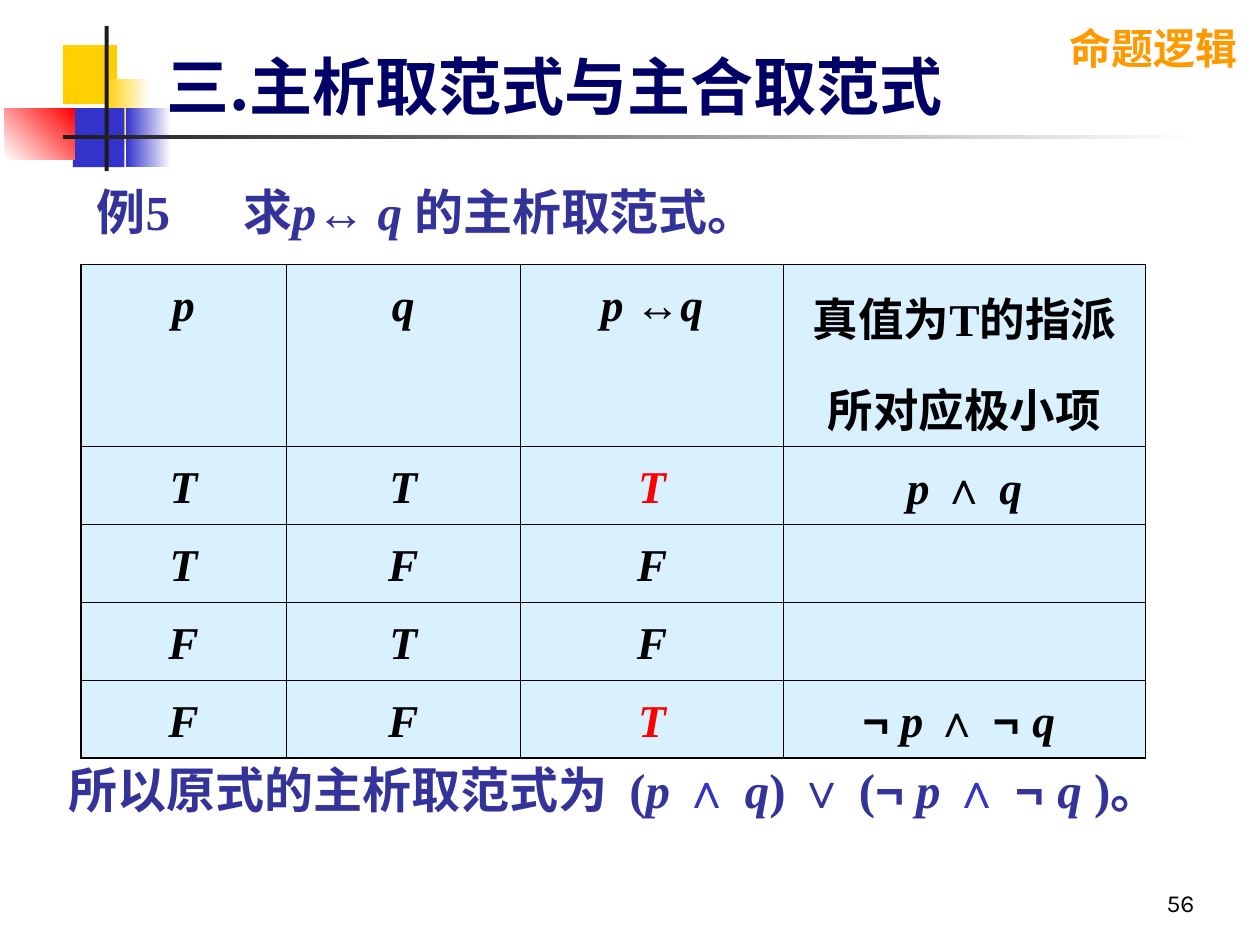
from lxml.etree import SubElement
from pptx import Presentation
from pptx.dml.color import RGBColor
from pptx.enum.shapes import MSO_SHAPE
from pptx.enum.text import MSO_ANCHOR, PP_ALIGN
from pptx.oxml import parse_xml
from pptx.oxml.ns import nsdecls, qn
from pptx.util import Cm, Pt

C = {
    "yellow": "FFCF01", "blue": "3333CC", "red": "FF0000", "ink": "1C1C1C",
    "white": "FFFFFF", "black": "000000", "orange": "FF9900",
    "navy": "000066", "indigo": "333399", "cell": "D9F1FF",
}
SERIF, SANS, CJK, LABEL = "Times New Roman", "Arial", "Noto Sans CJK SC", "Karla"

DECOR = [
    ((1.27, 0.91, 1.09, 1.19), ["yellow"], 0),
    ((2.11, 1.6, 0.91, 1.32), ["yellow", "white"], 0),
    ((1.47, 2.18, 1.04, 1.19), ["blue"], 0),
    ((2.54, 2.18, 0.91, 1.19), ["blue", "white"], 0),
    ((0.1, 2.18, 1.4, 1.04), ["white", "red"], 45),
    ((2.11, 0.53, 0.08, 2.92), ["ink"], 0),
    ((1.27, 2.72, 22.86, 0.08), ["ink", "white"], 0),
]

IT = {"italic": True}
SYM = {"name": SANS}
AND = ("∧ ", {"name": SANS, "color": "blue"})

TEXTS = [
    ((21.31, 0.33, 3.89, 1.27), {"word_wrap": False}, {},
     {"size": Pt(24), "name": LABEL, "color": "orange", "bold": True},
     [("命题逻辑", {})]),
    ((3.1, 0.53, 21.01, 2.08), {"vertical_anchor": MSO_ANCHOR.BOTTOM}, {},
     {"size": Pt(36), "name": CJK, "color": "navy", "bold": True},
     [("三.主析取范式与主合取范式", {})]),
    ((0.69, 14.94, 23.01, 2.01), {}, {"line_spacing": 1.2, "space_before": Pt(7), "indent": 0.45},
     {"size": Pt(28), "name": SERIF, "color": "indigo", "bold": True},
     [("所以原式的主析取范式为  (", {}), ("p ", IT), AND, ("q", IT), (") ", {}),
      ("∨", SYM), (" (", {}), ("¬", SYM), (" p ", IT), AND, ("¬ ", SYM),
      ("q", IT), (" )。", {})]),
    ((1.7, 3.53, 18.8, 1.45), {}, {"space_before": Pt(17.5), "tab": 2.95},
     {"size": Pt(28), "name": SERIF, "color": "indigo", "bold": True},
     [("例5\t求", {}), ("p", IT), ("↔ ", {}), ("q ", IT), ("的主析取范式。", {})]),
    ((19.05, 17.35, 5.28, 1.27), {"vertical_anchor": MSO_ANCHOR.BOTTOM},
     {"alignment": PP_ALIGN.RIGHT},
     {"size": Pt(14), "name": LABEL, "color": "black"}, [("56", {})]),
]

TABLE_AT = (1.63, 5.33)
COLS = [4.14, 4.72, 5.31, 7.29]
ROWS = [3.12] + [1.57] * 4
CELL_FONT = {"size": Pt(26), "name": SERIF, "color": "black", "bold": True}
CELL_PARA = {"alignment": PP_ALIGN.CENTER, "line_spacing": 1.2, "space_before": Pt(6.5)}
HIT = {"italic": True, "color": "red"}
T, F = [[("T", IT)]], [[("F", IT)]]
T_HIT = [[("T", HIT)]]
CELLS = [
    [[[("p", IT)]], [[("q", IT)]], [[("p ↔q", IT)]],
     [[("真值为T的指派", {})], [("所对应极小项", {})]]],
    [T, T, T_HIT, [[("p ", IT), ("∧ ", SYM), ("q", IT)]]],
    [T, F, F, []],
    [F, T, F, []],
    [F, F, T_HIT, [[("¬", SYM), (" p ", IT), ("∧ ¬ ", SYM), ("q ", IT)]]],
]


def rgb(name):
    return RGBColor.from_string(C[name])


def write(p, runs, font, para):
    for key, value in para.items():
        if key == "indent":
            p._p.get_or_add_pPr().set("indent", str(Cm(value)))
        elif key == "tab":
            tabs = SubElement(p._p.get_or_add_pPr(), qn("a:tabLst"))
            SubElement(tabs, qn("a:tab"), pos=str(Cm(value)), algn="l")
        else:
            setattr(p, key, value)
    for text, extra in runs:
        r = p.add_run()
        r.text = text
        for key, value in {**font, **extra}.items():
            if key == "color":
                r.font.color.rgb = rgb(value)
            else:
                setattr(r.font, key, value)
        SubElement(r._r.get_or_add_rPr(), qn("a:ea"), typeface=CJK)


def add_decor(s, box, colors, angle):
    sp = s.shapes.add_shape(MSO_SHAPE.RECTANGLE, *map(Cm, box))
    sp.shadow.inherit = False
    sp.line.fill.background()
    if len(colors) == 1:
        sp.fill.solid()
        sp.fill.fore_color.rgb = rgb(colors[0])
        return
    sp.fill.gradient()
    sp.fill.gradient_angle = angle
    for stop, color in zip(sp.fill.gradient_stops, colors):
        stop.color.rgb = rgb(color)


def add_text(s, box, frame, para, font, runs):
    tf = s.shapes.add_textbox(*map(Cm, box)).text_frame
    for key, value in {"word_wrap": True, **frame}.items():
        setattr(tf, key, value)
    write(tf.paragraphs[0], runs, font, para)


def add_borders(cell, outer):
    tcPr = cell._tc.get_or_add_tcPr()
    for i, (side, thick) in enumerate(zip("LRTB", outer)):
        width = Pt(1.08 if thick else 0.45)
        tcPr.insert(i, parse_xml(
            f'<a:ln{side} {nsdecls("a")} w="{width}"><a:solidFill>'
            f'<a:srgbClr val="{C["black"]}"/></a:solidFill></a:ln{side}>'))


def add_truth_table(s):
    nr, nc = len(ROWS), len(COLS)
    size = (sum(COLS), sum(ROWS))
    tbl = s.shapes.add_table(nr, nc, *map(Cm, TABLE_AT + size)).table
    for col, width in zip(tbl.columns, COLS):
        col.width = Cm(width)
    for row, height in zip(tbl.rows, ROWS):
        row.height = Cm(height)
    for i, row in enumerate(CELLS):
        for j, paras in enumerate(row):
            cell = tbl.cell(i, j)
            cell.fill.solid()
            cell.fill.fore_color.rgb = rgb("cell")
            add_borders(cell, (j == 0, j == nc - 1, i == 0, i == nr - 1))
            tf = cell.text_frame
            for k, runs in enumerate(paras):
                p = tf.add_paragraph() if k else tf.paragraphs[0]
                write(p, runs, CELL_FONT, CELL_PARA)


def main():
    prs = Presentation()
    prs.slide_width, prs.slide_height = Cm(25.4), Cm(19.05)
    s = prs.slides.add_slide(prs.slide_layouts[6])
    for item in DECOR:
        add_decor(s, *item)
    add_truth_table(s)
    for item in TEXTS:
        add_text(s, *item)
    prs.save("out.pptx")


if __name__ == "__main__":
    main()
